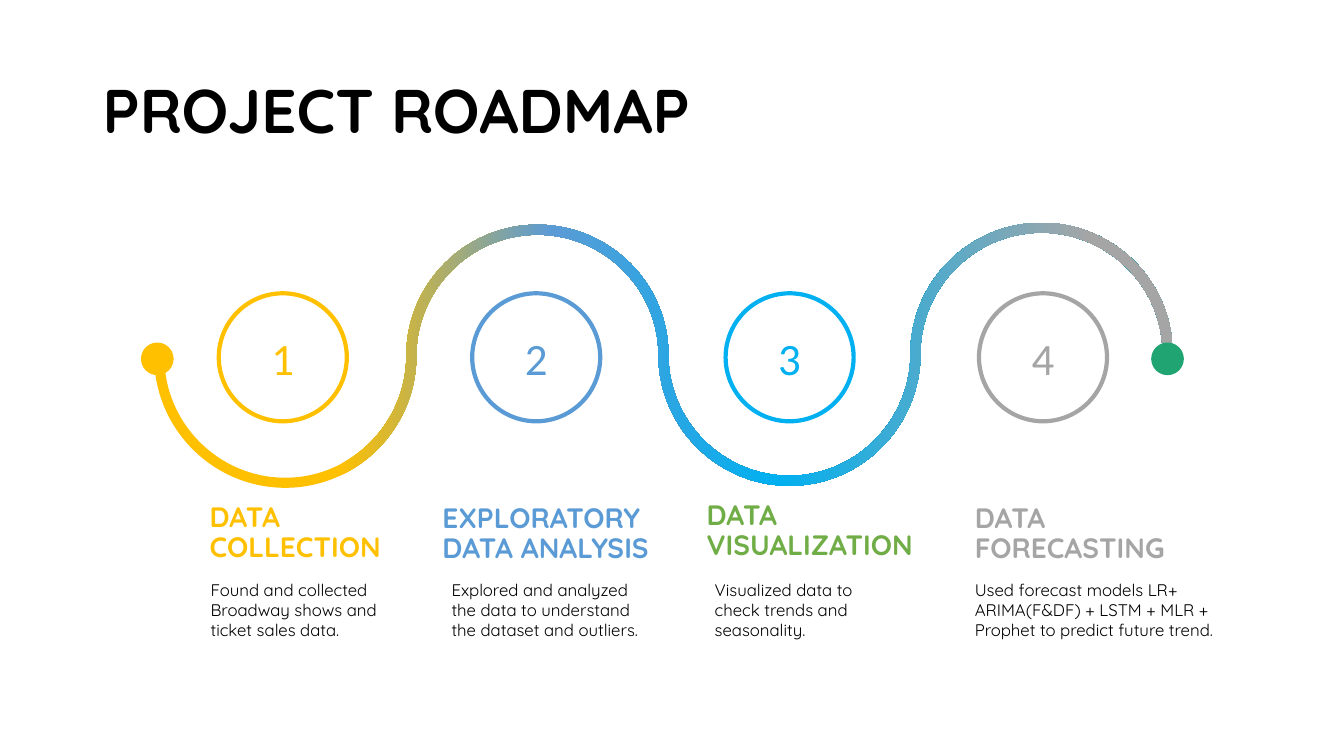
from dataclasses import dataclass

from lxml import etree
from pptx import Presentation
from pptx.dml.color import RGBColor
from pptx.enum.shapes import MSO_SHAPE
from pptx.enum.text import MSO_ANCHOR, PP_ALIGN
from pptx.oxml.ns import qn
from pptx.util import Inches, Pt

OVAL = MSO_SHAPE.OVAL
TOP, MIDDLE = MSO_ANCHOR.TOP, MSO_ANCHOR.MIDDLE
LEFT, CENTER = PP_ALIGN.LEFT, PP_ALIGN.CENTER
BEND = 0.55


@dataclass(frozen=True)
class Theme:
    """Colours, fonts and type sizes of the slide."""
    gold: str = "FFC000"
    blue: str = "5B9BD5"
    cyan: str = "00B0F0"
    gray: str = "A5A5A5"
    green: str = "70AD47"
    finish: str = "20A472"
    ink: str = "000000"
    paper: str = "FFFFFF"
    font: str = "Quicksand"
    digit: str = "Calibri"
    title: int = 44
    number: int = 32
    head: int = 20
    body: int = 12


THEME = Theme()
STEPS = [
    ("DATA COLLECTION", "Found and collected Broadway shows and ticket sales data.",
     THEME.gold, THEME.gold, (1.98, 4.94, 1.96), (1.99, 1.98)),
    ("EXPLORATORY DATA ANALYSIS",
     "Explored and analyzed the data to understand the dataset and outliers.",
     THEME.blue, THEME.blue, (4.29, 4.95, 2.28), (4.38, 2.18)),
    ("DATA VISUALIZATION", "Visualized data to check trends and seasonality.",
     THEME.cyan, THEME.green, (6.91, 4.92, 2.26), (6.99, 1.98)),
    ("DATA FORECASTING",
     "Used forecast models LR+ ARIMA(F&DF) + LSTM + MLR + Prophet to predict future trend.",
     THEME.gray, THEME.gray, (9.57, 4.95, 2.13), (9.57, 2.84)),
]
STOPS = [(18, THEME.gold), (39, THEME.blue), (61, THEME.cyan), (92, THEME.gray)]


def write(shape, text, color, size, font=THEME.font, bold=False, align=LEFT,
          anchor=TOP, space=1.0):
    """Put one styled paragraph in a shape."""
    frame = shape.text_frame
    frame.word_wrap, frame.vertical_anchor = True, anchor
    para = frame.paragraphs[0]
    para.text, para.alignment, para.line_spacing = text, align, space
    for key, value in {"name": font, "size": Pt(size), "bold": bold}.items():
        setattr(para.font, key, value)
    para.font.color.rgb = RGBColor.from_string(color)


def add_text(slide, box, text, color, size, **style):
    """Add a text box at the given box in inches."""
    shape = slide.shapes.add_textbox(*map(Inches, box))
    write(shape, text, color, size, **style)


def add_disc(slide, box, fill, line, width):
    """Add a circle with a flat fill and an outline."""
    disc = slide.shapes.add_shape(OVAL, *map(Inches, box))
    disc.shadow.inherit = False
    disc.fill.solid()
    disc.fill.fore_color.rgb = RGBColor.from_string(fill)
    disc.line.color.rgb = RGBColor.from_string(line)
    disc.line.width = Pt(width)
    return disc


def add_ring(slide, box, number, color):
    """Add a numbered ring for one step."""
    ring = add_disc(slide, box, THEME.paper, color, 3)
    write(ring, str(number), color, THEME.number, font=THEME.digit,
          align=CENTER, anchor=MIDDLE)


def trace_edge(left, mid, side, radius=1.25, half=0.05):
    """List sides and crests of one edge, where side is 1 below and -1 above."""
    points = []
    for node in range(2 * len(STEPS) + 1):
        turn = 1 if node // 2 % 2 == 0 else -1
        x, y = left + half + radius * node, mid - 0.01 * (node // 2)
        if node % 2:
            y += turn * radius + side * half
        else:
            x -= turn * side * half
        points.append((Inches(x), Inches(y)))
    return points


def round_path(wave, size):
    """Turn the straight steps of each edge into quarter arcs."""
    path = next(wave._element.iter(qn("a:path")))
    steps = [item for item in path if item.tag != qn("a:close")]
    ends = [(int(item[0].get("x")), int(item[0].get("y"))) for item in steps]
    for i, (start, end) in enumerate(zip(ends, ends[1:])):
        node = i % size
        if node == size - 1:
            continue
        (x, y), (u, v) = start, end
        if node % 2:
            bends = (x + BEND * (u - x), y), (u, v - BEND * (v - y))
        else:
            bends = (x, y + BEND * (v - y)), (u - BEND * (u - x), v)
        curve = etree.Element(qn("a:cubicBezTo"))
        for across, down in (*bends, end):
            etree.SubElement(curve, qn("a:pt"), x=str(round(across)), y=str(round(down)))
        path.replace(steps[i + 1], curve)


def add_wave(slide, left, mid):
    """Draw the winding band with its gradient and end dots."""
    upper, lower = trace_edge(left, mid, -1), trace_edge(left, mid, 1)
    points = upper + lower[::-1]
    pen = slide.shapes.build_freeform(*points[0], scale=1.0)
    pen.add_line_segments(points[1:], close=True)
    wave = pen.convert_to_shape()
    round_path(wave, len(upper))
    wave.shadow.inherit = False
    wave.line.fill.background()
    wave.fill.gradient()
    wave.fill.gradient_angle = 0
    stops = next(wave._element.spPr.iter(qn("a:gsLst")))
    for old in list(stops):
        stops.remove(old)
    for place, color in STOPS:
        stop = etree.SubElement(stops, qn("a:gs"), pos=str(place * 1000))
        etree.SubElement(stop, qn("a:srgbClr"), val=color)
    for x, color in ((left - 0.09, THEME.gold), (left + 9.93, THEME.finish)):
        add_disc(slide, (x, mid - 0.1, 0.24, 0.24), color, color, 6)


def add_step(slide, name, note, color, head, body):
    """Add the heading and note of one step."""
    add_text(slide, (*head, 0.33), name, color, THEME.head, bold=True, space=0.9)
    x, width = body
    add_text(slide, (x, 5.7, width, 0.77), note, THEME.ink, THEME.body)


def build_map(slide):
    """Lay out the whole roadmap slide."""
    for i, step in enumerate(STEPS):
        add_ring(slide, (2.17 + 7.54 * i / 3, 2.91, 1.27, 1.27), i + 1, step[2])
    add_wave(slide, 1.53, 3.54)
    for name, note, _, color, head, body in STEPS:
        add_step(slide, name, note, color, head, body)
    add_text(slide, (0.92, 0.4, 11.5, 1.45), "PROJECT ROADMAP", THEME.ink,
             THEME.title, bold=True, anchor=MIDDLE, space=0.9)


def main():
    """Build and save the deck."""
    deck = Presentation()
    deck.slide_width, deck.slide_height = Inches(13.33), Inches(7.5)
    build_map(deck.slides.add_slide(deck.slide_layouts[6]))
    deck.save("out.pptx")


if __name__ == "__main__":
    main()
